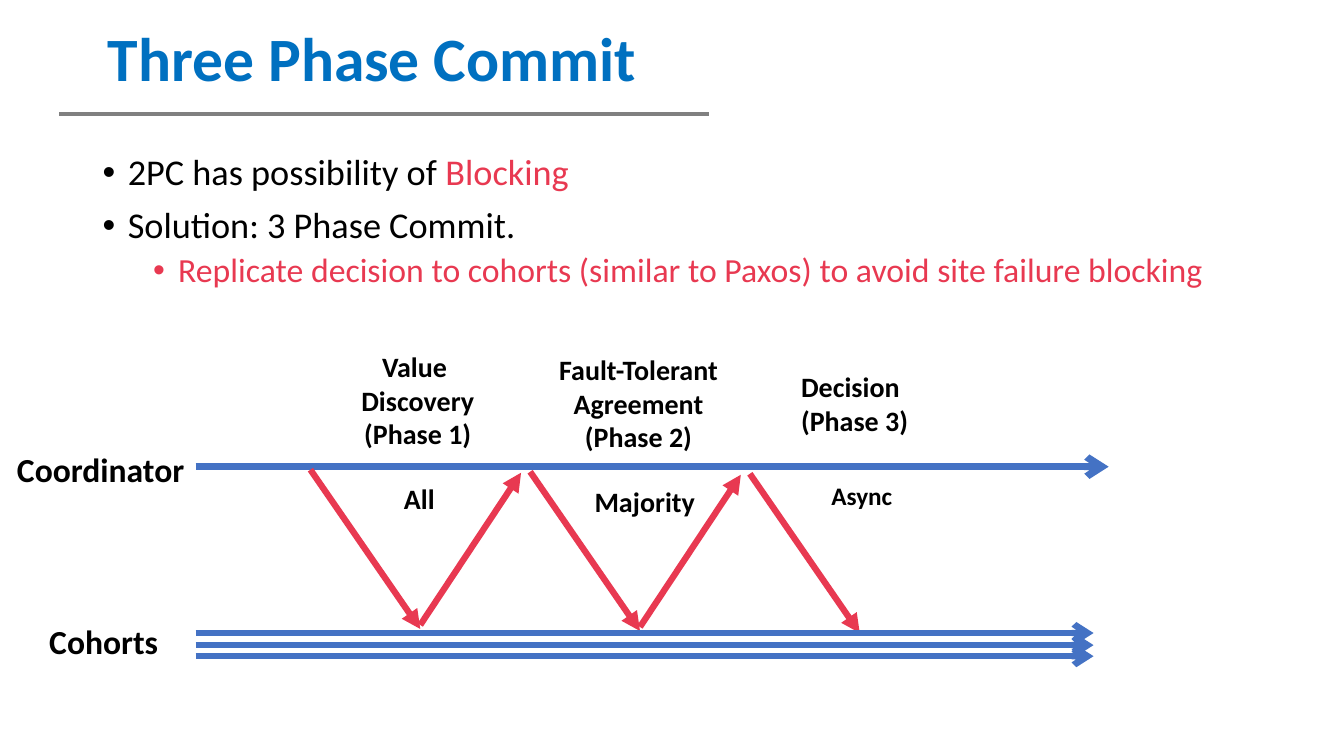
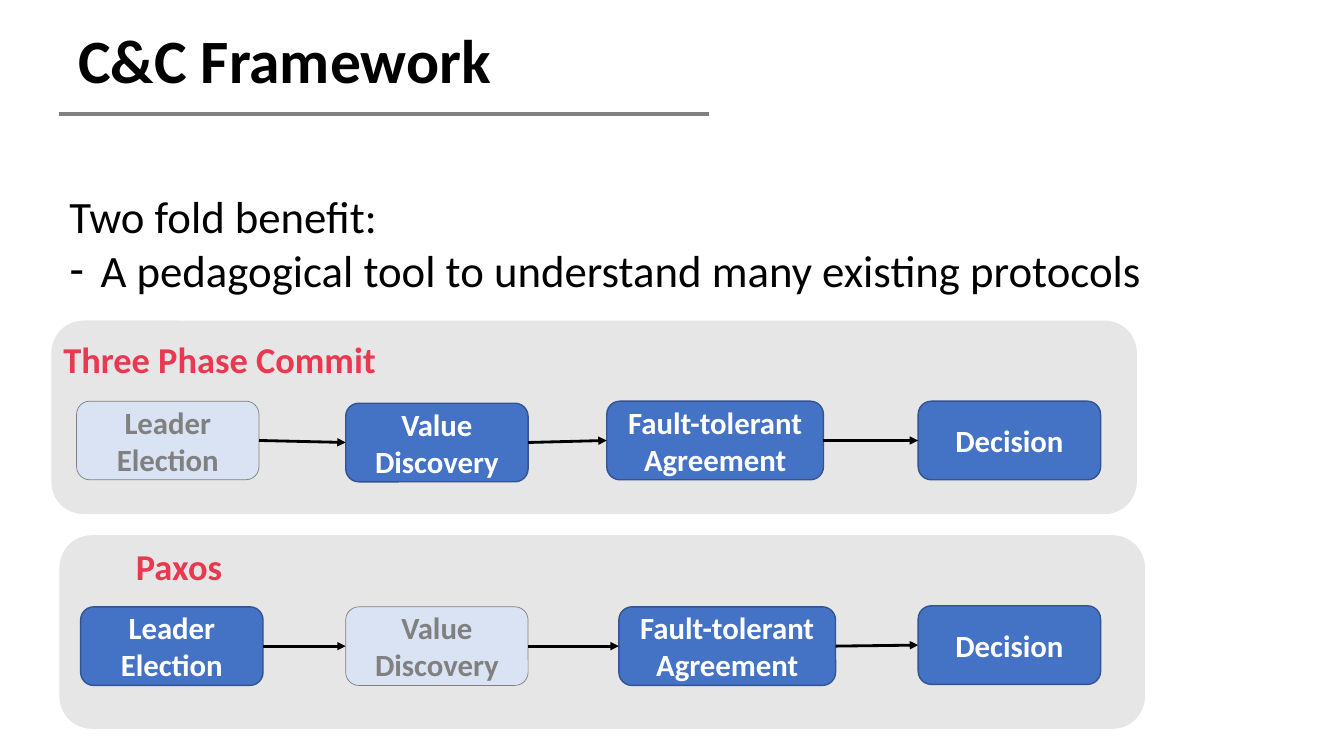
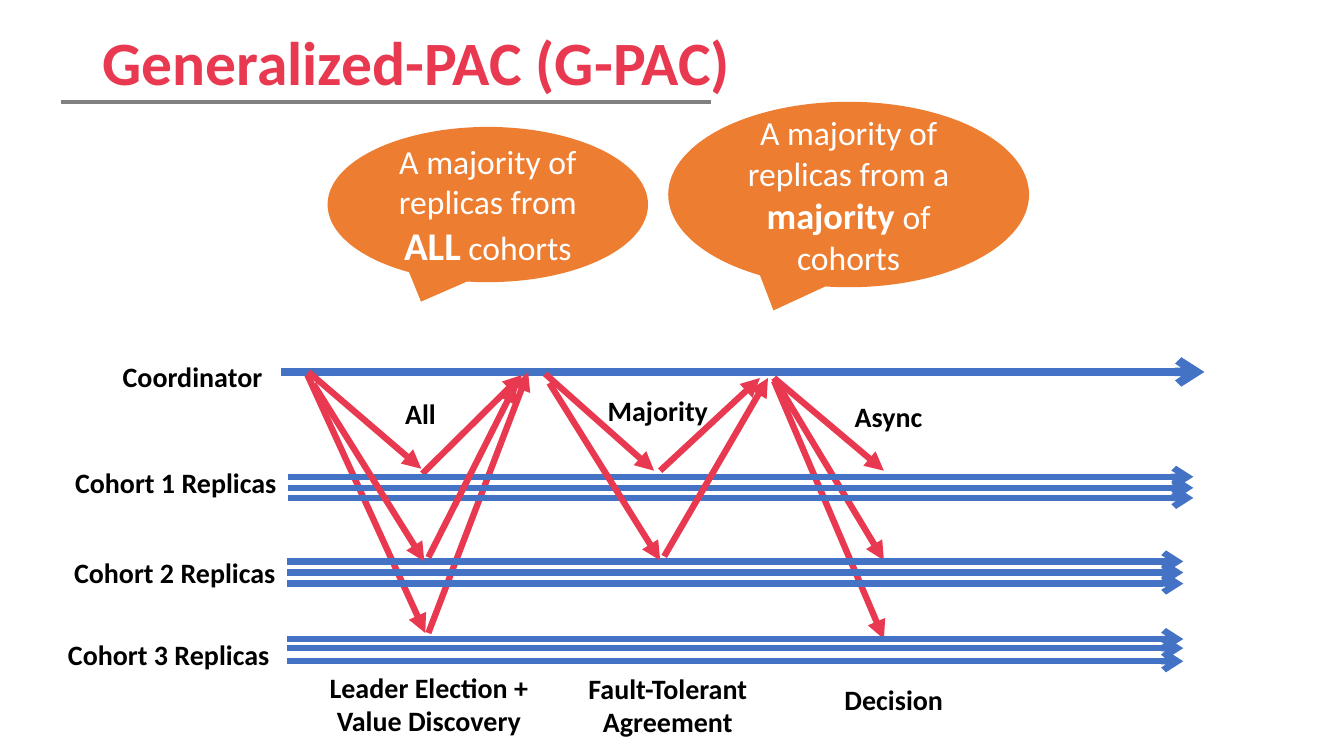
"""Build three slides on atomic commitment protocols."""
from dataclasses import dataclass
from typing import NamedTuple, Sequence, Union

import lxml.etree
import pptx
import pptx.dml.color
import pptx.enum.shapes
import pptx.enum.text
import pptx.oxml.ns
import pptx.presentation
import pptx.shapes.autoshape
import pptx.shapes.connector
import pptx.slide
import pptx.text.text
import pptx.util

SHAPES = pptx.enum.shapes.MSO_SHAPE
ALIGN = pptx.enum.text.PP_ALIGN
ANCHOR = pptx.enum.text.MSO_ANCHOR
qn = pptx.oxml.ns.qn


@dataclass(frozen=True)
class Theme:
    """Colours, type sizes and line widths shared by the slides."""
    font: str = "Calibri"
    black: str = "000000"
    white: str = "FFFFFF"
    red: str = "E83951"
    sky: str = "0070C0"
    blue: str = "4472C4"
    blue_edge: str = "325491"
    pale_blue: str = "DAE3F3"
    grey: str = "808080"
    panel: str = "E7E6E6"
    orange: str = "ED7D31"
    title: float = 44
    lead: float = 32
    heading: float = 26
    bullet: float = 25.9
    sub_bullet: float = 24.1
    callout: float = 24
    stage: float = 22
    label: float = 20
    small: float = 18
    thick: float = 4.5
    rule: float = 2.75


THEME = Theme()


class Box(NamedTuple):
    """Left, top, width and height in inches."""
    left: float
    top: float
    width: float
    height: float


class Run(NamedTuple):
    """Text whose format departs from that of its paragraph."""
    text: str
    color: str | None = None
    size: float | None = None
    bold: bool | None = None


class Paragraph(NamedTuple):
    """Runs with an optional bullet, indents and spacing."""
    runs: Sequence[Run]
    bullet: str = ""
    margin: float = 0
    hanging: float = 0
    level: int = 0
    before: float = 0
    size: float | None = None


class Label(NamedTuple):
    """A bold caption in its box."""
    text: str
    box: Box
    size: float = THEME.label
    align: ALIGN = ALIGN.CENTER
    wrap: bool = False


class Arrow(NamedTuple):
    """The two ends of a message arrow in inches."""
    start_x: float
    start_y: float
    end_x: float
    end_y: float


class Timelines(NamedTuple):
    """Parallel time arrows sharing their horizontal extent."""
    left: float
    right: float
    heights: Sequence[float]
    width: float = THEME.thick


class Stage(NamedTuple):
    """One step of a protocol."""
    text: str
    left: float
    top: float
    width: float = 1.81
    active: bool = True


class Protocol(NamedTuple):
    """A named panel with its chain of steps."""
    name: str
    panel: Box
    name_box: Box
    stages: Sequence[Stage]


def length(inches: float) -> pptx.util.Length:
    """Convert inches to a length in centimetres."""
    return pptx.util.Cm(inches * 2.54)


def rgb(color: str) -> pptx.dml.color.RGBColor:
    """Return the colour for a hexadecimal string."""
    return pptx.dml.color.RGBColor.from_string(color)


def set_bullet(paragraph: pptx.text.text._Paragraph, style: Paragraph) -> None:
    """Give a paragraph its bullet and hanging indent."""
    properties = paragraph._p.get_or_add_pPr()
    properties.set("marL", str(int(length(style.margin))))
    properties.set("indent", str(-int(length(style.hanging))))
    lxml.etree.SubElement(properties, qn("a:buFont")).set("typeface", "Arial")
    lxml.etree.SubElement(properties, qn("a:buChar")).set("char", style.bullet)


def write_text(frame: pptx.text.text.TextFrame, content: Union[str, Sequence[Paragraph]], *,
               size: float, color: str = THEME.black, bold: bool = False,
               align: ALIGN = ALIGN.LEFT, anchor: ANCHOR = ANCHOR.TOP, wrap: bool = True,
               grow: bool = False, line_spacing: float | None = None) -> None:
    """Fill a text frame with formatted paragraphs."""
    frame.word_wrap = wrap
    frame.vertical_anchor = anchor
    if grow:
        frame.auto_size = pptx.enum.text.MSO_AUTO_SIZE.SHAPE_TO_FIT_TEXT
    if isinstance(content, str):
        content = [Paragraph([Run(line)]) for line in content.split("\n")]
    for index, style in enumerate(content):
        paragraph = frame.add_paragraph() if index else frame.paragraphs[0]
        paragraph.alignment = align
        paragraph.level = style.level
        if line_spacing:
            paragraph.line_spacing = line_spacing
        if style.before:
            paragraph.space_before = pptx.util.Pt(style.before)
        if style.bullet:
            set_bullet(paragraph, style)
        for part in style.runs:
            for position, text in enumerate(part.text.split("\v")):
                if position:
                    paragraph.add_line_break()
                run = paragraph.add_run()
                run.text = text
                run.font.name = THEME.font
                run.font.size = pptx.util.Pt(part.size or style.size or size)
                run.font.bold = bold if part.bold is None else part.bold
                run.font.color.rgb = rgb(part.color or color)


def add_text(slide: pptx.slide.Slide, content: Union[str, Sequence[Paragraph]], box: Box,
             **text_format) -> None:
    """Add a text box."""
    shape = slide.shapes.add_textbox(*map(length, box))
    write_text(shape.text_frame, content, **text_format)


def add_shape(slide: pptx.slide.Slide, kind: SHAPES, box: Box, fill: str, edge: str | None = None,
              edge_width: float = 1) -> pptx.shapes.autoshape.Shape:
    """Add a flat preset shape."""
    shape = slide.shapes.add_shape(kind, *map(length, box))
    shape.shadow.inherit = False
    shape.fill.solid()
    shape.fill.fore_color.rgb = rgb(fill)
    if edge:
        shape.line.color.rgb = rgb(edge)
        shape.line.width = pptx.util.Pt(edge_width)
    else:
        shape.line.fill.background()
    return shape


def add_line(slide: pptx.slide.Slide, ends: Sequence[float], color: str, width: float,
             head: str | None = None) -> pptx.shapes.connector.Connector:
    """Add a straight line with an optional arrowhead."""
    connector = slide.shapes.add_connector(
        pptx.enum.shapes.MSO_CONNECTOR.STRAIGHT, *map(length, ends))
    connector.line.color.rgb = rgb(color)
    connector.line.width = pptx.util.Pt(width)
    properties = connector.element.spPr
    if head:
        outline = properties.find(qn("a:ln"))
        lxml.etree.SubElement(outline, qn("a:tailEnd")).set("type", head)
    lxml.etree.SubElement(properties, qn("a:effectLst"))
    return connector


def add_title(slide: pptx.slide.Slide, text: str, box: Box, color: str,
              rule_left: float = 0.59, rule_top: float = 1.13) -> None:
    """Add the slide title and the rule below it."""
    add_text(slide, text, box, size=THEME.title, color=color, bold=True,
             anchor=ANCHOR.MIDDLE, line_spacing=0.9)
    add_line(slide, (rule_left, rule_top, rule_left + 6.44, rule_top), THEME.grey, THEME.rule)


def add_labels(slide: pptx.slide.Slide, labels: Sequence[Label]) -> None:
    """Add bold captions."""
    for label in labels:
        add_text(slide, label.text, label.box, size=label.size, bold=True,
                 align=label.align, wrap=label.wrap, grow=True)


def add_messages(slide: pptx.slide.Slide, arrows: Sequence[Arrow]) -> None:
    """Add message arrows."""
    for arrow in arrows:
        add_line(slide, arrow, THEME.red, THEME.thick, "triangle")


def add_timelines(slide: pptx.slide.Slide, groups: Sequence[Timelines]) -> None:
    """Add the time arrows of each participant."""
    for group in groups:
        for height in group.heights:
            add_line(slide, (group.left, height, group.right, height),
                     THEME.blue, group.width, "arrow")


def add_protocol(slide: pptx.slide.Slide, protocol: Protocol) -> None:
    """Add a panel with its steps joined by arrows."""
    add_shape(slide, SHAPES.ROUNDED_RECTANGLE, protocol.panel, THEME.panel)
    add_text(slide, protocol.name, protocol.name_box, size=THEME.heading, color=THEME.red,
             bold=True, grow=True)
    previous = None
    for stage in protocol.stages:
        fill, edge, edge_width, color = (
            (THEME.blue, THEME.blue_edge, 1, THEME.white) if stage.active
            else (THEME.pale_blue, THEME.grey, 0.5, THEME.grey))
        shape = add_shape(slide, SHAPES.ROUNDED_RECTANGLE,
                          Box(stage.left, stage.top, stage.width, 0.78), fill, edge, edge_width)
        write_text(shape.text_frame, stage.text, size=THEME.stage, color=color, bold=True,
                   align=ALIGN.CENTER, anchor=ANCHOR.MIDDLE)
        if previous is not None:
            connector = add_line(slide, (0, 0, 1, 1), THEME.black, 2, "triangle")
            connector.begin_connect(previous, 3)
            connector.end_connect(shape, 1)
        previous = shape


def build_three_phase(slide: pptx.slide.Slide) -> None:
    """Build the slide on three phase commit."""
    bullet = {"bullet": "•", "hanging": 0.25}
    add_text(slide, [
        Paragraph([Run("2PC has possibility of "), Run("Blocking", THEME.red)],
                  margin=0.25, before=10, **bullet),
        Paragraph([Run("Solution: 3 Phase Commit.")], margin=0.25, before=10, **bullet),
        Paragraph([Run("Replicate decision to cohorts (similar to Paxos) "
                       "to avoid site failure blocking", THEME.red)],
                  margin=0.75, level=1, before=5, size=THEME.sub_bullet, **bullet),
    ], Box(0.92, 1.48, 11.5, 1.67), size=THEME.bullet, line_spacing=0.9)
    add_timelines(slide, [Timelines(1.94, 11, [4.63], 5)])
    for phase in range(3):
        left, top = 3.08 + 2.18 * phase, 4.66 + 0.02 * phase
        add_messages(slide, [Arrow(left, top, left + 1.09, top + 1.58)])
        if phase < 2:
            add_messages(slide, [Arrow(left + 1.09, top + 1.54, left + 2.09, top + 0.03)])
    add_timelines(slide, [Timelines(1.94, 10.85, [6.28, 6.4, 6.51])])
    add_labels(slide, [
        Label("Value \nDiscovery\n(Phase 1)", Box(3.48, 3.42, 1.33, 1.11)),
        Label("Fault-Tolerant\nAgreement\n(Phase 2)", Box(5.43, 3.45, 1.81, 1.11)),
        Label("Decision\n(Phase 3)", Box(7.85, 3.62, 1.27, 0.77), align=ALIGN.LEFT),
        Label("Coordinator", Box(0.07, 4.4, 1.88, 0.5), 24, ALIGN.LEFT),
        Label("Cohorts", Box(0.39, 6.11, 1.29, 0.5), 24, ALIGN.LEFT),
        Label("All", Box(3.91, 4.73, 0.51, 0.44), align=ALIGN.LEFT),
        Label("Majority", Box(5.8, 4.76, 1.21, 0.44), align=ALIGN.LEFT),
        Label("Async", Box(8.15, 4.72, 0.81, 0.4), THEME.small, ALIGN.LEFT),
    ])
    add_title(slide, "Three Phase Commit", Box(0.97, 0.21, 11.5, 0.8), THEME.sky)


def build_framework(slide: pptx.slide.Slide) -> None:
    """Build the slide on the framework's benefit."""
    add_title(slide, "C&C Framework", Box(0.68, 0.23, 11.5, 0.8), THEME.black)
    for protocol in (
        Protocol("Three Phase Commit", Box(0.51, 3.18, 10.77, 1.92), Box(0.53, 3.3, 3.77, 0.54), [
            Stage("Leader Election", 0.76, 3.98, active=False),
            Stage("Value\nDiscovery", 3.43, 4),
            Stage("Fault-tolerant\nAgreement", 6.02, 3.98, 2.15),
            Stage("Decision", 9.11, 3.98),
        ]),
        Protocol("Paxos", Box(0.59, 5.31, 10.77, 1.92), Box(1.25, 5.35, 3.3, 0.54), [
            Stage("Leader Election", 0.8, 6.02),
            Stage("Value Discovery", 3.43, 6.02, active=False),
            Stage("Fault-tolerant\nAgreement", 6.14, 6.02, 2.15),
            Stage("Decision", 9.11, 6.01),
        ]),
    ):
        add_protocol(slide, protocol)
    add_text(slide, [
        Paragraph([Run("Two fold benefit:")]),
        Paragraph([Run("A pedagogical tool to understand many existing protocols ")],
                  bullet="-", margin=0.31, hanging=0.31),
    ], Box(0.59, 1.82, 11.06, 1.72), size=THEME.lead, wrap=False, grow=True)


def build_generalized(slide: pptx.slide.Slide) -> None:
    """Build the slide on the generalized protocol."""
    add_timelines(slide, [Timelines(2.79, 11.95, [3.69], 6)])
    add_messages(slide, [
        Arrow(3.06, 3.69, 4.18, 4.65), Arrow(4.19, 4.7, 5.18, 3.72),
        Arrow(3.05, 3.72, 4.22, 6.28), Arrow(4.25, 6.28, 5.24, 3.69),
        Arrow(5.41, 3.71, 6.49, 4.67), Arrow(6.55, 4.67, 7.54, 3.75),
        Arrow(7.68, 3.75, 8.77, 5.56), Arrow(7.68, 3.78, 8.77, 6.34),
    ])
    for box, start, emphasis, emphasis_size, end in (
        (Box(3.25, 1.26, 3.18, 1.54), "A majority of replicas from ", "ALL", 28, " cohorts"),
        (Box(6.63, 1.01, 3.58, 1.84), "A majority of replicas from a ", "majority", 26,
         " of cohorts"),
    ):
        callout = add_shape(slide, SHAPES.OVAL_CALLOUT, box, THEME.orange)
        write_text(callout.text_frame, [Paragraph([
            Run(start), Run(emphasis, size=emphasis_size, bold=True), Run(end)])],
            size=THEME.callout, color=THEME.white, align=ALIGN.CENTER, anchor=ANCHOR.MIDDLE)
    frame = callout.text_frame
    frame.margin_left = frame.margin_top = frame.margin_right = frame.margin_bottom = 0
    add_timelines(slide, [
        Timelines(2.86, 11.84, [4.73, 4.84, 4.94]),
        Timelines(2.85, 11.74, [5.57, 5.68, 5.79]),
        Timelines(2.85, 11.74, [6.34, 6.43, 6.56]),
    ])
    add_title(slide, "Generalized-PAC (G-PAC)", Box(0.92, 0.2, 11.5, 0.91), THEME.red, 0.61, 1.01)
    add_labels(slide, [
        Label("Leader Election +\vValue Discovery", Box(3.16, 6.6, 2.19, 0.77)),
        Label("Fault-Tolerant\nAgreement", Box(5.72, 6.61, 1.81, 0.77)),
        Label("Decision", Box(8.28, 6.72, 1.19, 0.44), align=ALIGN.LEFT),
        Label("Coordinator", Box(1.11, 3.52, 1.6, 0.44)),
        Label("Cohort 1 Replicas", Box(0.58, 4.57, 2.33, 0.44), wrap=True),
        Label("Cohort 2 Replicas", Box(0.57, 5.46, 2.33, 0.44), wrap=True),
        Label("Cohort 3 Replicas", Box(0.51, 6.28, 2.33, 0.44), wrap=True),
        Label("All", Box(3.92, 3.88, 0.51, 0.44), align=ALIGN.LEFT),
        Label("Majority", Box(5.93, 3.85, 1.21, 0.44), align=ALIGN.LEFT),
        Label("Async", Box(8.38, 3.91, 0.88, 0.44), align=ALIGN.LEFT),
    ])
    add_messages(slide, [
        Arrow(3.11, 3.81, 4.21, 5.57), Arrow(4.25, 5.53, 5.12, 3.81),
        Arrow(5.45, 3.8, 6.55, 5.56), Arrow(6.59, 5.52, 7.62, 3.75),
        Arrow(7.68, 3.75, 8.77, 4.67),
    ])


def main() -> None:
    """Build and save the presentation."""
    presentation: pptx.presentation.Presentation = pptx.Presentation()
    presentation.slide_width = pptx.util.Cm(33.87)
    presentation.slide_height = pptx.util.Cm(19.05)
    for build in (build_three_phase, build_framework, build_generalized):
        build(presentation.slides.add_slide(presentation.slide_layouts[6]))
    presentation.save("out.pptx")


main()
